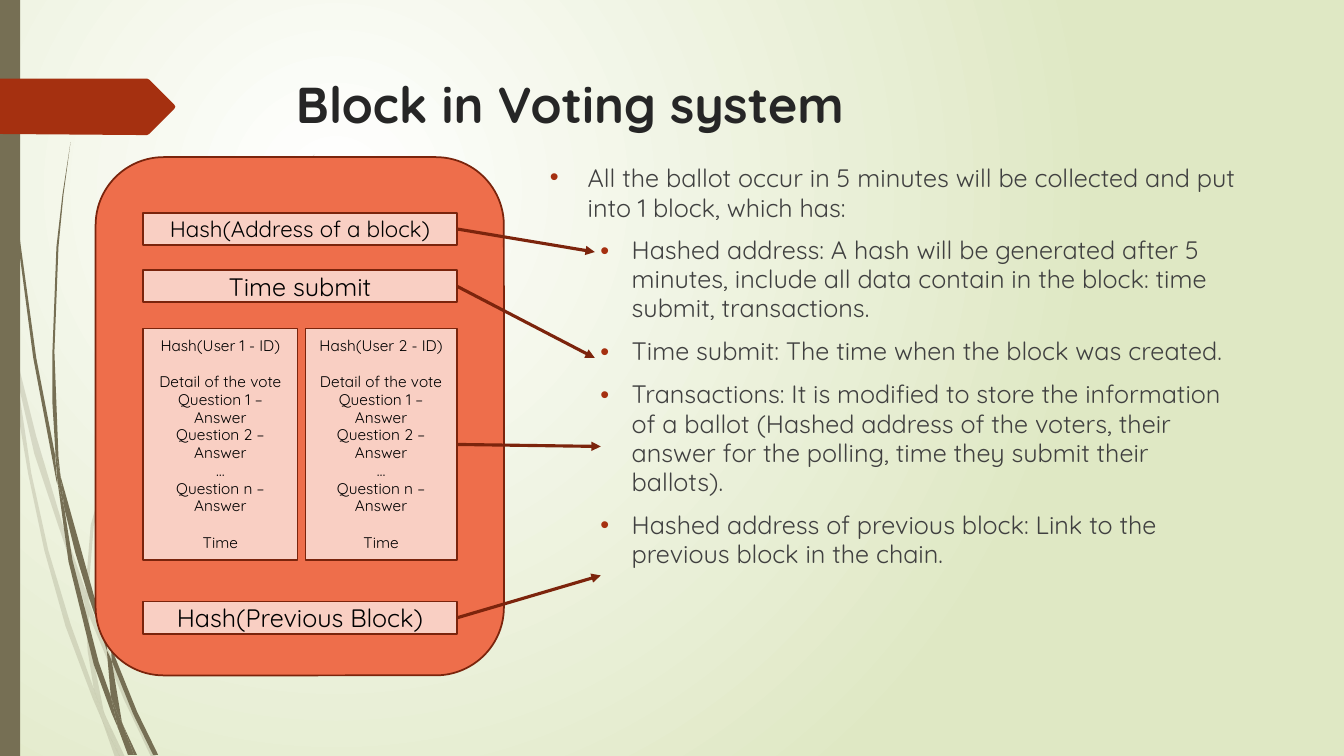
"""Build the slide that explains a block in a voting system."""
import dataclasses
import typing

import lxml.etree
import pptx
import pptx.dml.color
import pptx.enum.shapes
import pptx.enum.text
import pptx.oxml.ns
import pptx.util

Cm = pptx.util.Cm
Pt = pptx.util.Pt
qn = pptx.oxml.ns.qn
Kind = pptx.enum.shapes.MSO_SHAPE
Align = pptx.enum.text.PP_ALIGN
Anchor = pptx.enum.text.MSO_ANCHOR


@dataclasses.dataclass(frozen=True)
class Theme:
    font: str = "Quicksand"
    olive: str = "766F54"
    rust: str = "A53010"
    brick: str = "7A240C"
    arrow: str = "7C240C"
    coral: str = "EE6E4B"
    blush: str = "F9CFC3"
    white: str = "FFFFFF"
    green: str = "DFE8C4"
    head: str = "262626"
    body: str = "404040"
    black: str = "000000"
    large: float = 36
    text: float = 18
    label: float = 16
    small: float = 11
    tight: float = 0.96


@dataclasses.dataclass(frozen=True)
class Box:
    left: float
    top: float
    width: float
    height: float
    lines: tuple[str, ...] = ()
    size: float = 18


class Link(typing.NamedTuple):
    start: float
    right: float
    end: float


class Item(typing.NamedTuple):
    text: str
    left: float
    hang: float


THEME = Theme()
UNIT = Cm(0.0254)
PALE = (
    "11,350 9,322 0,282 0,299 10,344",
    "58,522 84,599 85,586 62,520 36,433 14,345 17,376 34,450",
    "92,607 88,596 88,610 123,694 150,751 155,751 127,692",
    "119,751 124,751 105,711",
    "93,683 70,619 48,546 31,469 17,376 11,350 18,411 28,470 44,546 65,621 92,693 101,714 99,707",
    "84,599 87,646 93,683 96,692 105,711 103,706 91,646 88,610 88,608",
    "88,584 93,522 110,462 160,349 229,245 268,198 290,175 312,154 312,153 "
    "289,175 268,197 228,244 158,348 107,461 90,521 85,584 85,586 88,596",
    "101,714 114,751 119,751",
    "88,608 88,610 88,596 85,586 84,599",
    "96,692 93,683 99,707 101,714 119,751 105,711",
)
DARK = (
    "7,110 17,233 33,355 56,477 57,481 55,457 55,453 36,355 19,232 8,109 5,48 4,0 3,0 4,48",
    "88,592 106,645 106,633 106,631 93,590 60,472 64,505 75,549",
    "113,649 110,641 111,656 132,708 152,749 157,749 136,706",
    "110,691 98,657 72,556 64,505 57,477 68,557 93,659 111,708 117,722 116,717",
    "60,472 58,453 54,349 58,245 63,193 70,141 62,193 56,245 52,349 52,400 55,449",
    "133,749 136,749 122,719",
    "57,477 64,505 60,472 55,449 55,453",
    "117,722 127,749 131,749",
    "106,645 110,691 116,706 122,719 121,716 111,656 109,651",
    "116,706 110,691 116,717 117,722 130,749 133,749 122,719",
)
TAG = "173,108 148,133 146,134 136,134 0,133 0,78 146,78 148,79 173,104 174,106"
VOTE = ("Detail of the vote", "Question 1 – Answer", "Question 2 – Answer", "…",
        "Question n – Answer", "Time")
GAPS = ("Detail of the vote", "Time")
FRAME = Box(2.41, 3.96, 10.29, 13.06)
PARTS = (
    Box(3.61, 5.36, 7.9, 0.81, ("Hash(Address of a block)",), THEME.label),
    Box(3.61, 6.81, 7.9, 0.81, ("Time submit",)),
    Box(3.61, 15.16, 7.9, 0.81, ("Hash(Previous Block)",)),
    Box(3.61, 8.28, 3.89, 5.84, ("Hash(User 1 - ID)", *VOTE), THEME.small),
    Box(7.7, 8.28, 3.81, 5.84, ("Hash(User 2 - ID)", *VOTE), THEME.small),
)
EDGE = 11.51
LINKS = (Link(5.77, 14.99, 6.35), Link(7.21, 14.99, 9.02),
         Link(11.2, 15.14, 11.25), Link(15.57, 15.14, 14.5))
TITLE = Box(7.21, 1.73, 24.77, 3.56)
BODY = Box(13.61, 3.96, 17.93, 13.06)
POINTS = (
    "Hashed address: A hash will be generated after 5 minutes, include all data contain "
    "in the block: time submit, transactions.",
    "Time submit: The time when the block was created.",
    "Transactions: It is modified to store the information of a ballot (Hashed address of "
    "the voters, their answer for the polling, time they submit their ballots).",
    "Hashed address of previous block: Link to the previous block in the chain.",
)
ITEMS = (
    Item("All the ballot occur in 5 minutes will be collected and put into 1 block, "
         "which has:", 0.95, 0.95),
    *(Item(text, 2.06, 0.79) for text in POINTS),
)


def rgb(code: str) -> pptx.dml.color.RGBColor:
    return pptx.dml.color.RGBColor.from_string(code)


def add(node: typing.Any, tag: str, **attrs: str) -> typing.Any:
    return lxml.etree.SubElement(node, qn(tag), attrs)


def place(box: Box) -> tuple[int, ...]:
    return tuple(Cm(side) for side in (box.left, box.top, box.width, box.height))


def paint(shape: typing.Any, fill: str, line: str = "") -> None:
    shape.shadow.inherit = False
    shape.fill.solid()
    shape.fill.fore_color.rgb = rgb(fill)
    if line:
        shape.line.color.rgb = rgb(line)
        shape.line.width = Pt(1.25)
    else:
        shape.line.fill.background()


def style(para: typing.Any, size: float, color: str, bold: bool = False) -> None:
    for run in para.runs:
        run.font.name = THEME.font
        run.font.size = Pt(size)
        run.font.bold = bold
        run.font.color.rgb = rgb(color)


def draw_free(shapes: typing.Any, trace: str, fill: str, alpha: int = 100) -> None:
    dots = [tuple(map(int, dot.split(","))) for dot in trace.split()]
    pen = shapes.build_freeform(*dots[0], scale=UNIT)
    pen.add_line_segments(dots[1:], close=True)
    shape = pen.convert_to_shape()
    paint(shape, fill)
    if alpha < 100:
        tint = shape.element.spPr.find(".//" + qn("a:srgbClr"))
        add(tint, "a:alpha", val=str(alpha * 1000))


def draw_box(shapes: typing.Any, box: Box) -> None:
    shape = shapes.add_shape(Kind.RECTANGLE, *place(box))
    paint(shape, THEME.blush, THEME.brick)
    frame = shape.text_frame
    frame.text = "\n".join(box.lines)
    frame.word_wrap = True
    frame.vertical_anchor = Anchor.MIDDLE
    for para in frame.paragraphs:
        para.alignment = Align.CENTER
        style(para, box.size, THEME.black)
        if len(box.lines) > 1:
            para.line_spacing = THEME.tight
        if para.text in GAPS:
            para.space_before = Pt(13.2)


def draw_link(shapes: typing.Any, link: Link) -> None:
    line = shapes.add_connector(pptx.enum.shapes.MSO_CONNECTOR.STRAIGHT, Cm(EDGE),
                                Cm(link.start), Cm(link.right), Cm(link.end))
    line.line.color.rgb = rgb(THEME.arrow)
    line.line.width = Pt(2.25)
    add(line.element.spPr.find(qn("a:ln")), "a:tailEnd", type="triangle")
    add(line.element.spPr, "a:effectLst")


def draw_text(shapes: typing.Any, box: Box, text: str) -> typing.Any:
    frame = shapes.add_textbox(*place(box)).text_frame
    frame.word_wrap = True
    frame.text = text
    return frame.paragraphs


def draw_list(shapes: typing.Any) -> None:
    paras = draw_text(shapes, BODY, "\n".join(item.text for item in ITEMS))
    for rank, (para, item) in enumerate(zip(paras, ITEMS)):
        style(para, THEME.text, THEME.body)
        para.line_spacing = THEME.tight if rank else 1.0
        para.space_before = Pt(10 if rank else 0)
        props = para._p.get_or_add_pPr()
        props.set("marL", str(Cm(item.left)))
        props.set("indent", str(-Cm(item.hang)))
        add(add(props, "a:buClr"), "a:srgbClr", val=THEME.rust)
        add(props, "a:buFont", typeface="Arial")
        add(props, "a:buChar", char="•")


def draw_back(slide: typing.Any) -> None:
    fill = slide.background.fill
    fill.gradient()
    for stop, code in zip(fill.gradient_stops, (THEME.white, THEME.green)):
        stop.color.rgb = rgb(code)
    grad = slide.element.find(".//" + qn("a:gradFill"))
    grad.remove(grad.find(qn("a:lin")))
    ring = add(grad, "a:path", path="circle")
    add(ring, "a:fillToRect", l="50000", t="50000", r="100000", b="100000")


def main() -> None:
    deck = pptx.Presentation()
    deck.slide_width, deck.slide_height = Cm(33.87), Cm(19.05)
    slide = deck.slides.add_slide(deck.slide_layouts[6])
    shapes = slide.shapes
    draw_back(slide)
    for traces, alpha in ((PALE, 20), (DARK, 100)):
        grass = shapes.add_group_shape().shapes
        for trace in traces:
            draw_free(grass, trace, THEME.olive, alpha)
    paint(shapes.add_shape(Kind.RECTANGLE, *place(Box(0, 0, 0.51, 19.05))), THEME.olive)
    draw_free(shapes, TAG, THEME.rust)
    style(draw_text(shapes, TITLE, "Block in Voting system")[0], THEME.large, THEME.head, True)
    draw_list(shapes)
    block = shapes.add_group_shape().shapes
    paint(block.add_shape(Kind.ROUNDED_RECTANGLE, *place(FRAME)), THEME.coral, THEME.brick)
    for part in PARTS:
        draw_box(block, part)
    for link in LINKS:
        draw_link(shapes, link)
    deck.save("out.pptx")


if __name__ == "__main__":
    main()
